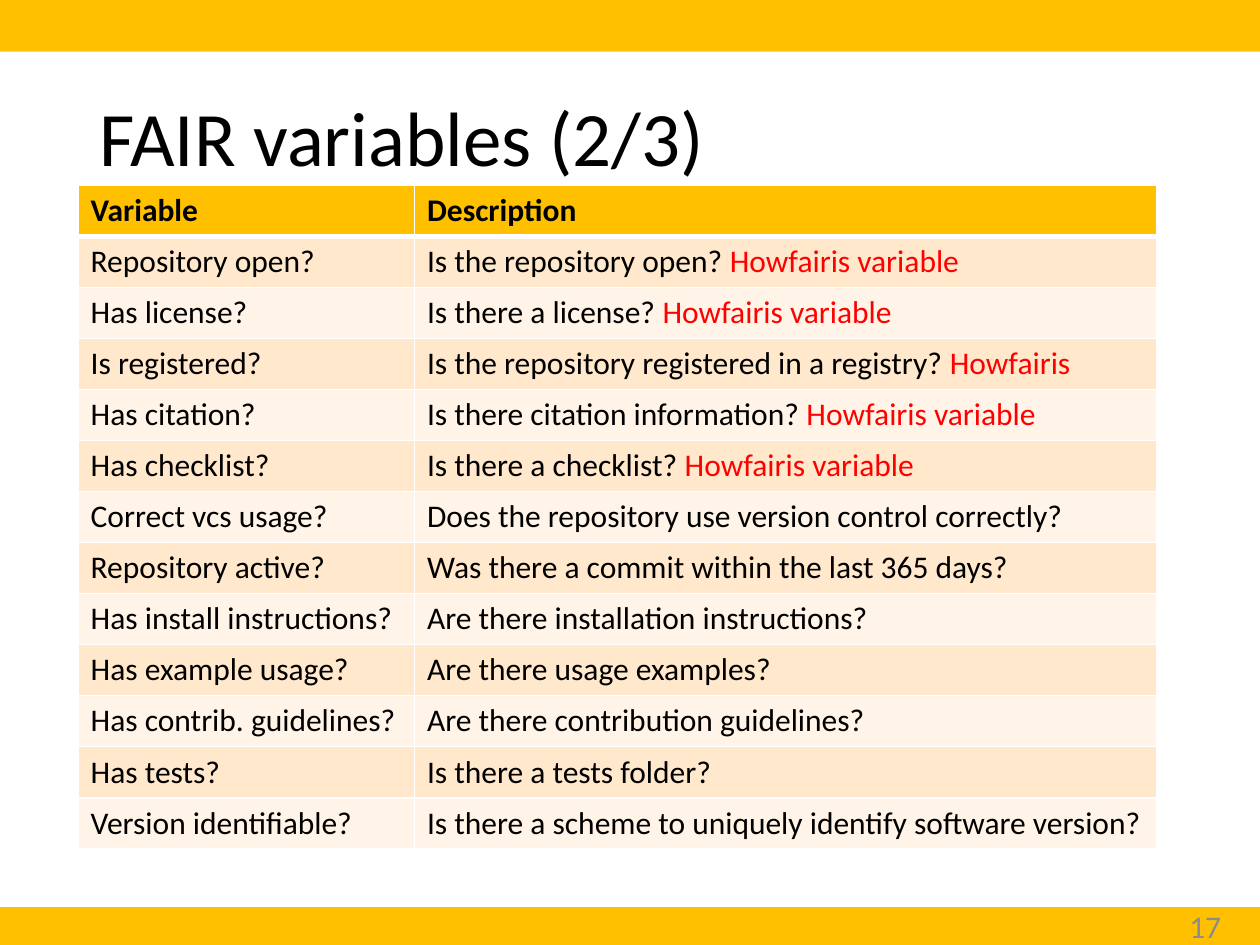
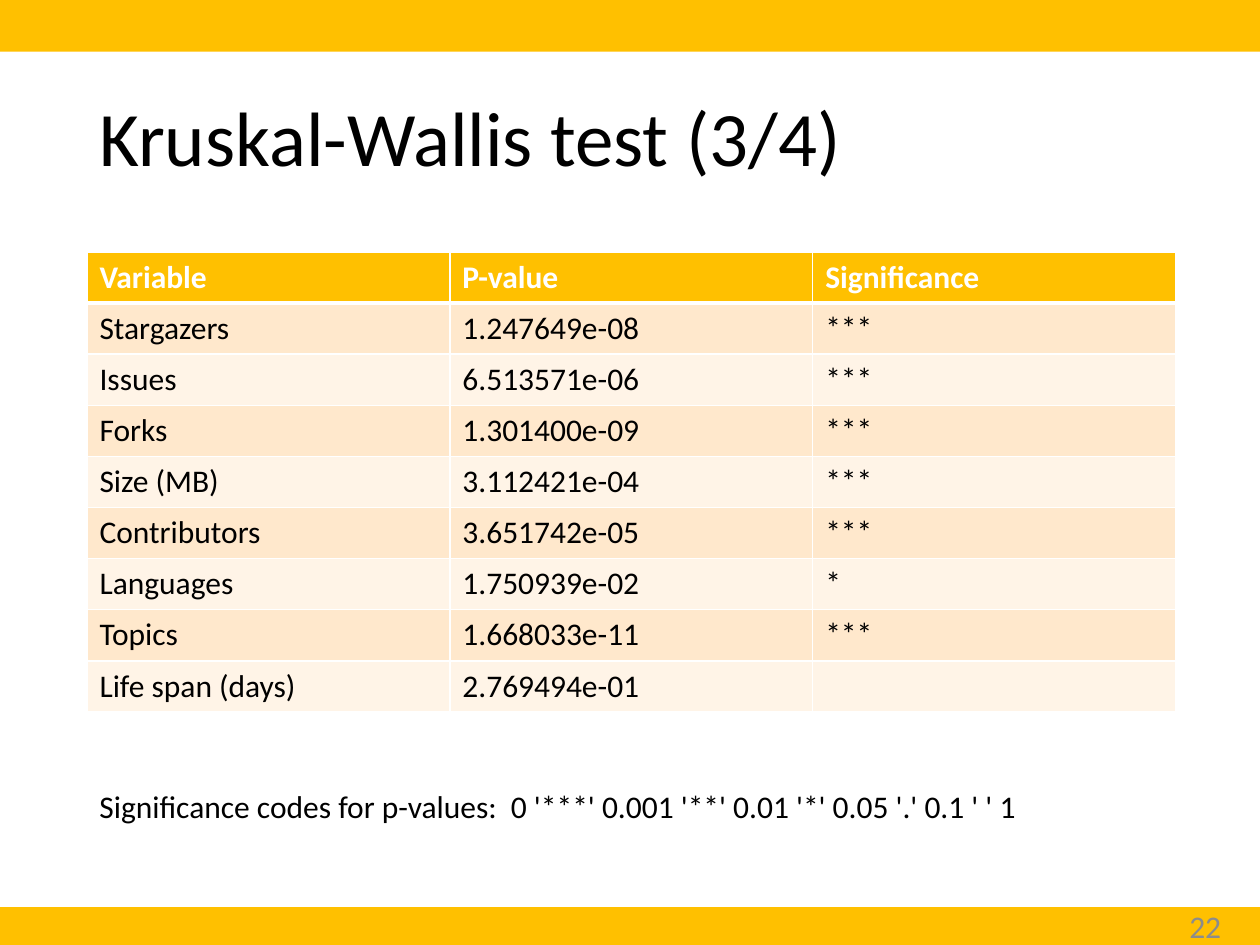
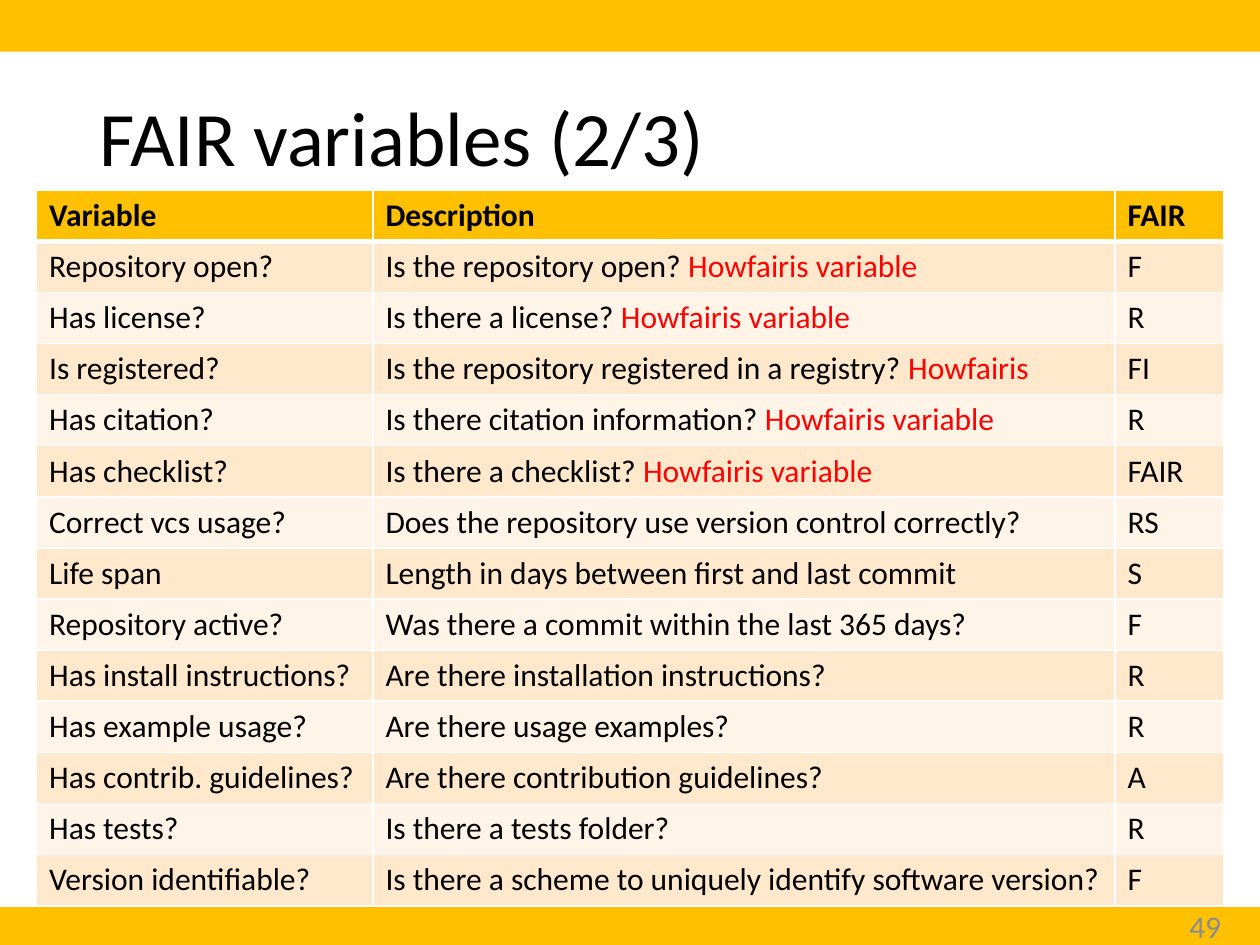
from dataclasses import dataclass
from typing import NamedTuple

from lxml import etree
from pptx import Presentation
from pptx import util as u
from pptx.dml.color import RGBColor
from pptx.enum import shapes, text
from pptx.oxml.ns import qn


@dataclass(frozen=True)
class Theme:
    font: str = "Calibri"
    title_size: int = 44
    body_size: int = 18
    gold: str = "FFC000"
    dark_row: str = "FFE8CC"
    light_row: str = "FFF4E7"
    black: str = "000000"
    white: str = "FFFFFF"
    red: str = "FF0000"
    gray: str = "8C8C8C"
    rule: int = 1
    header_rule: int = 3


class Box(NamedTuple):
    left: float
    top: float
    width: float
    height: float

    def inches(self) -> list:
        return [u.Inches(v) for v in self]


class Variable(NamedTuple):
    name: str
    description: str
    fair: str
    tool: str = ""

    def cells(self) -> list:
        return [self.name, [(self.description, THEME.black), (self.tool, THEME.red)], self.fair]


class TableSpec(NamedTuple):
    box: Box
    widths: list
    header: list
    rows: list
    header_color: str


class SlideSpec(NamedTuple):
    title: str
    number: int
    table: TableSpec
    caption: str = ""


THEME = Theme()
BANDS = [Box(0, 0, 10, 0.41), Box(0, 7.2, 10, 0.31)]
TITLE_BOX = Box(0.69, 0.4, 8.62, 1.45)
NUMBER_BOX = Box(7.54, 7.15, 2.25, 0.4)
CAPTION_BOX = Box(0.69, 6.2, 7.58, 0.4)

LIFE_SPAN = "Life span"
VARIABLES = [
    Variable("Repository open?", "Is the repository open? ", "F", "Howfairis variable"),
    Variable("Has license?", "Is there a license? ", "R", "Howfairis variable"),
    Variable("Is registered?", "Is the repository registered in a registry? ", "FI", "Howfairis"),
    Variable("Has citation?", "Is there citation information? ", "R", "Howfairis variable"),
    Variable("Has checklist?", "Is there a checklist? ", "FAIR", "Howfairis variable"),
    Variable("Correct vcs usage?", "Does the repository use version control correctly?", "RS"),
    Variable(LIFE_SPAN, "Length in days between first and last commit", "S"),
    Variable("Repository active?", "Was there a commit within the last 365 days?", "F"),
    Variable("Has install instructions?", "Are there installation instructions?", "R"),
    Variable("Has example usage?", "Are there usage examples?", "R"),
    Variable("Has contrib. guidelines?", "Are there contribution guidelines?", "A"),
    Variable("Has tests?", "Is there a tests folder?", "R"),
    Variable("Version identifiable?", "Is there a scheme to uniquely identify software version?", "F"),
]
P_VALUES = [
    ["Stargazers", "1.247649e-08", "***"],
    ["Issues", "6.513571e-06", "***"],
    ["Forks", "1.301400e-09", "***"],
    ["Size (MB)", "3.112421e-04", "***"],
    ["Contributors", "3.651742e-05", "***"],
    ["Languages", "1.750939e-02", "*"],
    ["Topics", "1.668033e-11", "***"],
    ["Life span (days)", "2.769494e-01", ""],
]

SLIDES = [
    SlideSpec("FAIR variables (2/3)", 17, TableSpec(
        Box(0.62, 1.47, 8.57, 5.27), [2.67, 5.89], ["Variable", "Description"],
        [v.cells()[:2] for v in VARIABLES if v.name != LIFE_SPAN], THEME.black)),
    SlideSpec("Kruskal-Wallis test (3/4)", 22, TableSpec(
        Box(0.69, 2, 8.62, 3.65), [2.88] * 3, ["Variable", "P-value", "Significance"],
        P_VALUES, THEME.white),
        "Significance codes for p-values:  0 '***' 0.001 '**' 0.01 '*' 0.05 '.' 0.1 ' ' 1"),
    SlideSpec("FAIR variables (2/3)", 49, TableSpec(
        Box(0.29, 1.51, 9.42, 5.68), [2.67, 5.89, 0.86], ["Variable", "Description", "FAIR"],
        [v.cells() for v in VARIABLES], THEME.black)),
]


def write(tf, content, *, size: int = THEME.body_size, color: str = THEME.black,
          bold: bool = False, align=None, spacing=None) -> None:
    p = tf.paragraphs[0]
    p.alignment = align
    p.line_spacing = spacing
    runs = [(content, color)] if isinstance(content, str) else content
    for words, run_color in runs:
        if words:
            r = p.add_run()
            r.text = words
            r.font.name = THEME.font
            r.font.size = u.Pt(size)
            r.font.bold = bold
            r.font.color.rgb = RGBColor.from_string(run_color)


def add_text(slide, box: Box, content: str, *, wrap: bool = True,
             anchor=text.MSO_ANCHOR.MIDDLE, **style) -> None:
    tf = slide.shapes.add_textbox(*box.inches()).text_frame
    tf.word_wrap = wrap
    tf.vertical_anchor = anchor
    if not wrap:
        tf.auto_size = text.MSO_AUTO_SIZE.SHAPE_TO_FIT_TEXT
    write(tf, content, **style)


def add_band(slide, box: Box) -> None:
    sp = slide.shapes.add_shape(shapes.MSO_SHAPE.RECTANGLE, *box.inches())
    sp.shadow.inherit = False
    sp.fill.solid()
    sp.fill.fore_color.rgb = RGBColor.from_string(THEME.gold)
    sp.line.fill.background()


def set_borders(cell, top: int, bottom: int) -> None:
    tc_pr = cell._tc.get_or_add_tcPr()
    widths = {"a:lnL": THEME.rule, "a:lnR": THEME.rule, "a:lnT": top, "a:lnB": bottom}
    for tag, width in widths.items():
        ln = etree.SubElement(tc_pr, qn(tag), w=str(u.Pt(width)))
        fill = etree.SubElement(ln, qn("a:solidFill"))
        etree.SubElement(fill, qn("a:srgbClr"), val=THEME.white)


def add_table(slide, spec: TableSpec) -> None:
    rows = [spec.header, *spec.rows]
    table = slide.shapes.add_table(len(rows), len(spec.widths), *spec.box.inches()).table
    for column, width in zip(table.columns, spec.widths):
        column.width = u.Inches(width)
    for i, row in enumerate(rows):
        header = i == 0
        fill = THEME.gold if header else THEME.dark_row if i % 2 else THEME.light_row
        for j, content in enumerate(row):
            cell = table.cell(i, j)
            set_borders(cell, THEME.header_rule if i == 1 else THEME.rule,
                        THEME.header_rule if header else THEME.rule)
            cell.fill.solid()
            cell.fill.fore_color.rgb = RGBColor.from_string(fill)
            write(cell.text_frame, content, bold=header,
                  color=spec.header_color if header else THEME.black)


def add_slide(prs, spec: SlideSpec) -> None:
    slide = prs.slides.add_slide(prs.slide_layouts[6])
    for band in BANDS:
        add_band(slide, band)
    add_text(slide, TITLE_BOX, spec.title, size=THEME.title_size, spacing=0.9)
    add_table(slide, spec.table)
    add_text(slide, NUMBER_BOX, str(spec.number), color=THEME.gray, align=text.PP_ALIGN.RIGHT)
    if spec.caption:
        add_text(slide, CAPTION_BOX, spec.caption, wrap=False, anchor=text.MSO_ANCHOR.TOP)


def main() -> None:
    prs = Presentation()
    prs.slide_width, prs.slide_height = u.Inches(10), u.Inches(7.5)
    for spec in SLIDES:
        add_slide(prs, spec)
    prs.save("out.pptx")


if __name__ == "__main__":
    main()
